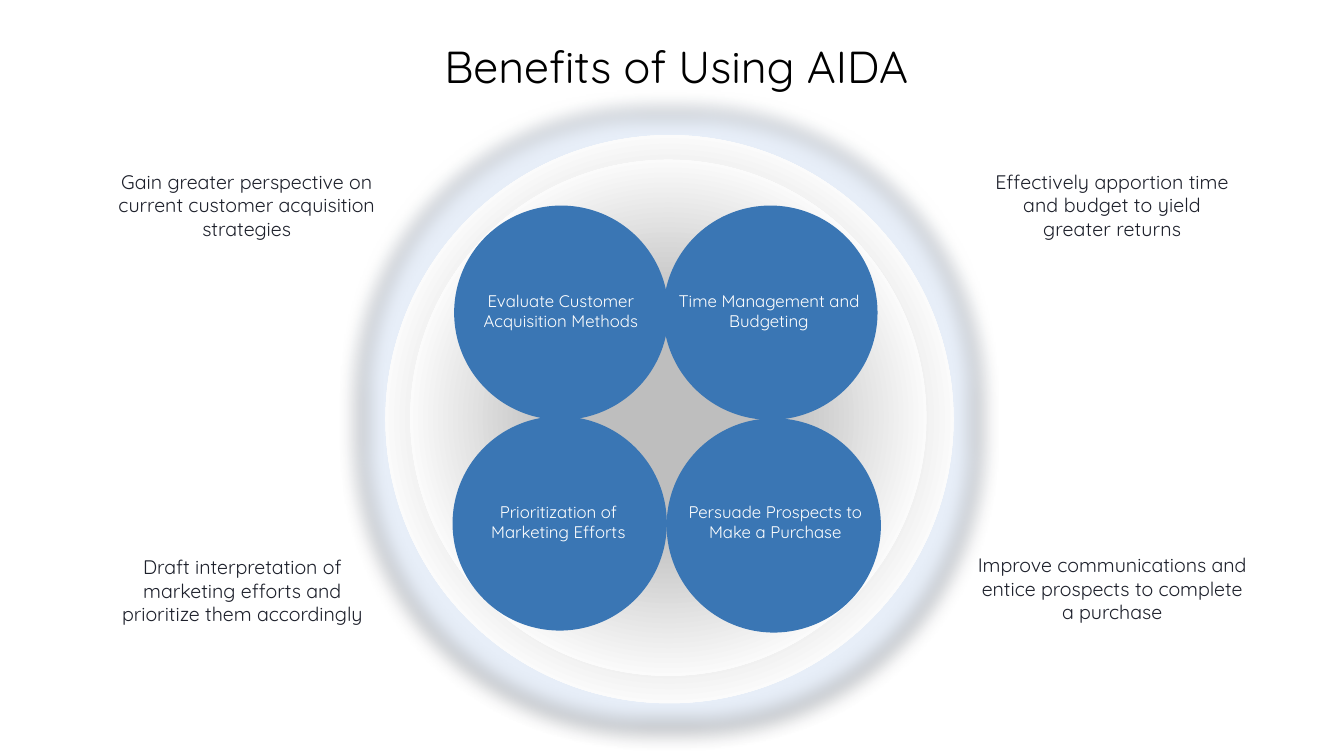
from lxml import etree
from pptx import Presentation
from pptx import util as u
from pptx.dml.color import RGBColor
from pptx.enum import shapes, text
from pptx.oxml import parse_xml
from pptx.oxml.ns import nsdecls, qn

FONT = "Quicksand"
BLUE, INK, WHITE, BLACK = "3A76B4", "1D202B", "FFFFFF", "000000"
GREY, HALO = "BEBEBE", "E7EEF8"


def rgb(value):
    return RGBColor.from_string(value)


def add_text(parent, box, runs, size, color, inset=None):
    """Centred text; runs is a list of (wording, letter spacing in points)."""
    sp = parent.add_textbox(*map(u.Cm, box))
    tf = sp.text_frame
    tf.word_wrap = True
    if inset is None:
        tf.auto_size = text.MSO_AUTO_SIZE.SHAPE_TO_FIT_TEXT
    else:
        tf.margin_left = tf.margin_right = u.Cm(inset)
        tf.margin_top = tf.margin_bottom = u.Cm(inset)
    p = tf.paragraphs[0]
    p.alignment = text.PP_ALIGN.CENTER
    for wording, spacing in runs:
        r = p.add_run()
        r.text = wording
        r.font.name, r.font.size = FONT, u.Pt(size)
        r.font.color.rgb = rgb(color)
        if spacing:
            r._r.get_or_add_rPr().set("spc", str(round(spacing * 100)))


def add_circle(parent, left, top, size):
    sp = parent.add_shape(shapes.MSO_SHAPE.OVAL, *map(u.Cm, (left, top, size, size)))
    sp.shadow.inherit = False
    sp.line.fill.background()
    return sp


def fill_radial(sp):
    """Grey centre fading to a white rim."""
    stops = "".join(
        f'<a:gs pos="{pos * 1000}"><a:srgbClr val="{color}"/></a:gs>'
        for pos, color in ((29, GREY), (74, WHITE), (100, WHITE)))
    grad = parse_xml(
        f'<a:gradFill {nsdecls("a")} rotWithShape="1"><a:gsLst>{stops}</a:gsLst>'
        '<a:path path="circle"><a:fillToRect l="50000" t="50000" r="50000" b="50000"/>'
        '</a:path></a:gradFill>')
    sp._element.spPr.find(qn("a:prstGeom")).addnext(grad)


def add_halo(sp):
    """Pale glow with a small shadow beneath."""
    effects = sp._element.spPr.find(qn("a:effectLst"))
    glow = etree.SubElement(effects, qn("a:glow"), rad=str(u.Pt(64)))
    etree.SubElement(glow, qn("a:srgbClr"), val=HALO)
    shadow = etree.SubElement(effects, qn("a:outerShdw"), blurRad=str(u.Pt(4)),
                              dist=str(u.Pt(4)), dir="5400000", rotWithShape="0")
    color = etree.SubElement(shadow, qn("a:srgbClr"), val=BLACK)
    etree.SubElement(color, qn("a:alpha"), val="43000")


def add_benefit(s, left, top, label, dx, dy, width):
    """Blue circle grouped with its label, which is offset from the circle."""
    group = s.shapes.add_group_shape().shapes
    sp = add_circle(group, left, top, 10.8)
    sp.fill.solid()
    sp.fill.fore_color.rgb = rgb(BLUE)
    add_text(group, (left + dx, top + dy, width, 2.31), [(label, 0)], 24, WHITE)


def add_dial(s, left, top, size):
    """Outer disc, inner disc and the four benefits."""
    outer = add_circle(s.shapes, left, top, size)
    fill_radial(outer)
    add_halo(outer)
    fill_radial(add_circle(s.shapes, left + 1.25, top + 1.24, 26.01))
    for x, y, label, dx, dy, width in (
        (3.46, 3.55, "Evaluate Customer Acquisition Methods", -0.05, 4.17, 10.85),
        (14.17, 14.27, "Persuade Prospects to Make a Purchase", 0, 4.06, 10.95),
        (14, 3.55, "Time Management and Budgeting", 0.23, 4.17, 10.19),
        (3.38, 14.17, "Prioritization of Marketing Efforts", 0.76, 4.17, 9.14),
    ):
        add_benefit(s, left + x, top + y, label, dx, dy, width)


def add_notes(s):
    """Explanations in the four corners."""
    for left, top, width, runs in (
        (5.66, 8.43, 13.54,
         [("Gain greater perspective on current customer acquisition strategies", 0)]),
        (49.78, 8.43, 12.55,
         [("Effectively apportion time ", 0.1),
          ("and budget to yield greater returns", 0.2)]),
        (5.44, 27.86, 13.54,
         [("Draft interpretation of marketing efforts and prioritize them accordingly", 0)]),
        (48.84, 27.74, 14.43,
         [("Improve communications and entice prospects to complete a purchase", 0)]),
    ):
        add_text(s.shapes, (left, top, width, 3.84), runs, 28, INK)


def main():
    prs = Presentation()
    prs.slide_width, prs.slide_height = u.Cm(67.74), u.Cm(38.1)
    s = prs.slides.add_slide(prs.slide_layouts[6])
    add_dial(s, 19.43, 6.81, 28.63)
    add_text(s.shapes, (21.87, 1.85, 24.41, 3.4),
             [("Benefits of Using AIDA", 0)], 64, BLACK, inset=0.1)
    add_notes(s)
    prs.save("out.pptx")


if __name__ == "__main__":
    main()
